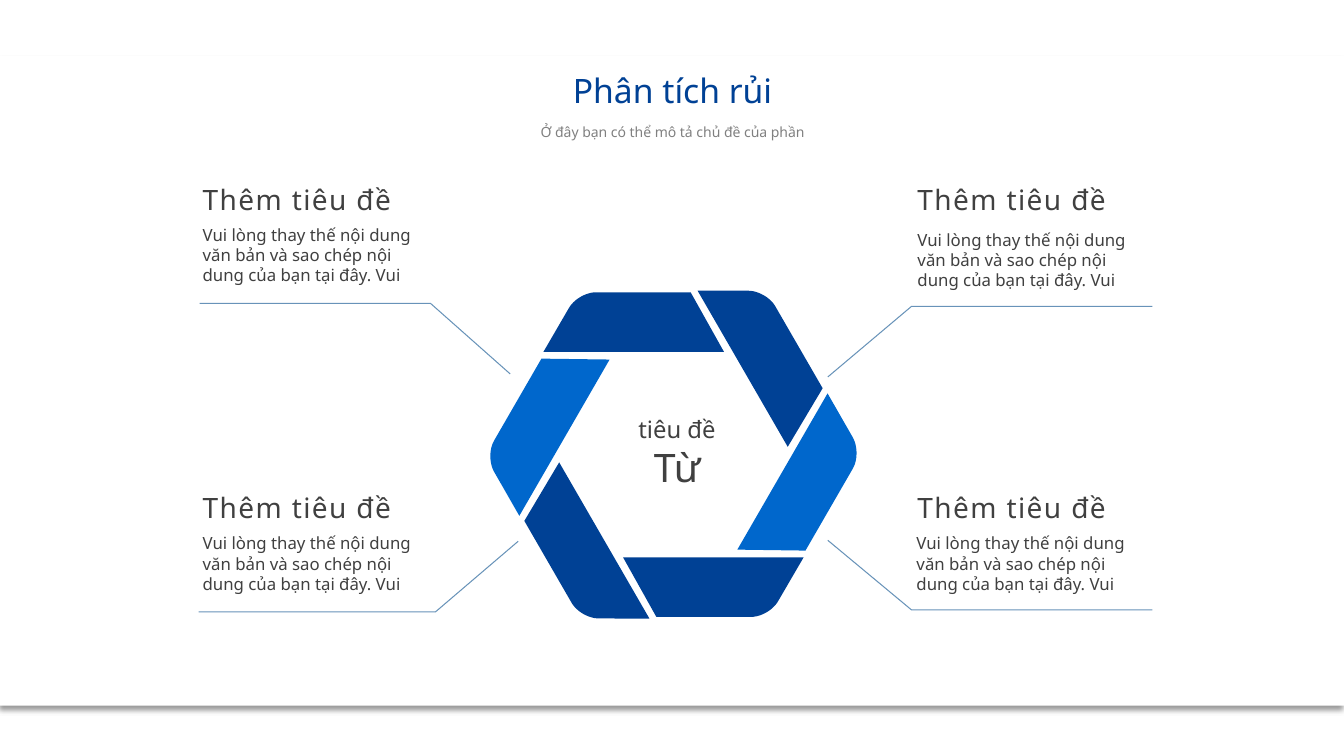
from math import cos, radians, sin

from lxml import etree
from pptx import Presentation
from pptx.dml.color import RGBColor
from pptx.enum.shapes import MSO_SHAPE
from pptx.enum.text import MSO_ANCHOR, MSO_AUTO_SIZE, PP_ALIGN
from pptx.oxml.ns import qn
from pptx.util import Inches, Pt

COLORS = {
    "panel": "FFFFFF",
    "shadow": "000000",
    "dark": "004195",
    "light": "0067CC",
    "leader": "6893B9",
    "text": "404040",
    "subtitle": "808080",
}
FONT = "Noto Sans"
WIDE_INSETS = (0.14, 0.07)
TIGHT_INSETS = (0.1, 0.05)

HEADING = "Thêm tiêu đề"
BODY = "Vui lòng thay thế nội dung văn bản và sao chép nội dung của bạn tại đây. Vui"
# heading left and top, body left and top, leader points
CALLOUTS = [
    ((1.87, 1.74), (1.87, 2.16), [(5.06, 3.71), (4.27, 3.01), (1.98, 3.01)]),
    ((1.87, 4.8), (1.87, 5.22), [(5.14, 5.37), (4.32, 6.07), (1.97, 6.07)]),
    ((8.96, 1.74), (8.96, 2.21), [(8.21, 3.74), (9.04, 3.04), (11.43, 3.04)]),
    ((8.96, 4.8), (8.95, 5.22), [(8.21, 5.36), (9.04, 6.05), (11.43, 6.05)]),
]

RING_CENTER = (6.68, 4.51)
BAND_EDGES = [(5.91, 2.9), (6.85, 2.9), (7.18, 3.49), (5.39, 3.49)]
BAND_CORNER = [(5.64, 3.06), (5.69, 2.97), (5.81, 2.9), (5.91, 2.9)]
BAND_COLORS = ["dark", "dark", "light"] * 2


def bezier(controls, steps=12):
    """Return points along a cubic curve, leaving out its end point."""
    weights = (1, 3, 3, 1)
    points = []
    for step in range(steps):
        t = step / steps
        factors = [w * (1 - t) ** (3 - i) * t ** i for i, w in enumerate(weights)]
        points.append(tuple(sum(f * point[axis] for f, point in zip(factors, controls))
                            for axis in (0, 1)))
    return points


def rotate(points, degrees):
    """Turn points clockwise about the centre of the ring."""
    cx, cy = RING_CENTER
    c, s = cos(radians(degrees)), sin(radians(degrees))
    return [(cx + (x - cx) * c - (y - cy) * s, cy + (x - cx) * s + (y - cy) * c)
            for x, y in points]


class SlideBuilder:
    def __init__(self, slide):
        self.shapes = slide.shapes

    def color(self, name):
        return RGBColor.from_string(COLORS[name])

    def panel(self, left, top, width, height):
        """Add the white panel with its soft lower shadow behind everything."""
        panel = self.shapes.add_shape(MSO_SHAPE.ROUNDED_RECTANGLE, Inches(left), Inches(top),
                                      Inches(width), Inches(height))
        panel.adjustments[0] = 0
        panel.fill.solid()
        panel.fill.fore_color.rgb = self.color("panel")
        panel.line.fill.background()
        panel.shadow.inherit = False
        effects = panel.element.spPr.find(qn("a:effectLst"))
        shadow = etree.SubElement(effects, qn("a:outerShdw"), blurRad=str(Pt(4)),
                                  dist=str(Pt(3)), dir="5400000", algn="t", rotWithShape="0")
        tint = etree.SubElement(shadow, qn("a:srgbClr"), val=COLORS["shadow"])
        etree.SubElement(tint, qn("a:alpha"), val="40000")
        self.shapes.title.element.addprevious(panel.element)

    def outline(self, points, close):
        start, *rest = [(Inches(x), Inches(y)) for x, y in points]
        builder = self.shapes.build_freeform(*start)
        builder.add_line_segments(rest, close=close)
        shape = builder.convert_to_shape()
        shape.shadow.inherit = False
        return shape

    def band(self, points, color):
        band = self.outline(points, close=True)
        band.fill.solid()
        band.fill.fore_color.rgb = self.color(color)
        band.line.fill.background()

    def leader(self, points):
        leader = self.outline(points, close=False)
        leader.fill.background()
        leader.line.color.rgb = self.color("leader")
        leader.line.width = Pt(0.75)

    def fill_text(self, box, lines, color="text", align=PP_ALIGN.LEFT, insets=WIDE_INSETS,
                  line_spacing=1.0, tracking=0):
        """Fill a box with (text, size) lines; tracking is in points."""
        frame = box.text_frame
        frame.text = "\n".join(text for text, _ in lines)
        frame.word_wrap = True
        frame.auto_size = MSO_AUTO_SIZE.NONE
        frame.vertical_anchor = MSO_ANCHOR.TOP
        frame.margin_left = frame.margin_right = Inches(insets[0])
        frame.margin_top = frame.margin_bottom = Inches(insets[1])
        for paragraph, (_, size) in zip(frame.paragraphs, lines):
            paragraph.alignment = align
            paragraph.line_spacing = line_spacing
            for run in paragraph.runs:
                run.font.name = FONT
                run.font.size = Pt(size)
                run.font.color.rgb = self.color(color)
                if tracking:
                    run.font._element.set("spc", str(tracking * 100))

    def title(self, left, top, width, height, text):
        title = self.shapes.title
        title.left, title.top = Inches(left), Inches(top)
        title.width, title.height = Inches(width), Inches(height)
        self.fill_text(title, [(text, 24)], "dark", PP_ALIGN.CENTER, TIGHT_INSETS)

    def text(self, left, top, width, height, lines, **style):
        box = self.shapes.add_textbox(Inches(left), Inches(top), Inches(width), Inches(height))
        self.fill_text(box, lines, **style)


def main():
    deck = Presentation()
    deck.slide_width, deck.slide_height = Inches(13.33), Inches(7.5)
    page = SlideBuilder(deck.slides.add_slide(deck.slide_layouts[5]))

    page.panel(0, 0.55, 13.33, 6.45)
    page.title(5.29, 0.64, 2.76, 0.5, "Phân tích rủi")
    page.text(4.21, 1.14, 4.92, 0.33, [("Ở đây bạn có thể mô tả chủ đề của phần", 10)],
              color="subtitle", align=PP_ALIGN.CENTER, insets=TIGHT_INSETS, line_spacing=1.2)

    top_band = BAND_EDGES + bezier(BAND_CORNER)
    for index, color in enumerate(BAND_COLORS):
        page.band(rotate(top_band, 60 * index), color)

    for heading_at, body_at, leader_points in CALLOUTS:
        page.leader(leader_points)
        page.text(*body_at, 2.57, 0.74, [(BODY, 12)])
        page.text(*heading_at, 2.57, 0.47, [(HEADING, 20)], align=PP_ALIGN.JUSTIFY, tracking=1)

    page.text(6.04, 4.04, 1.35, 0.89, [("tiêu đề", 17), ("Từ", 28)], align=PP_ALIGN.CENTER)
    deck.save("out.pptx")


if __name__ == "__main__":
    main()
